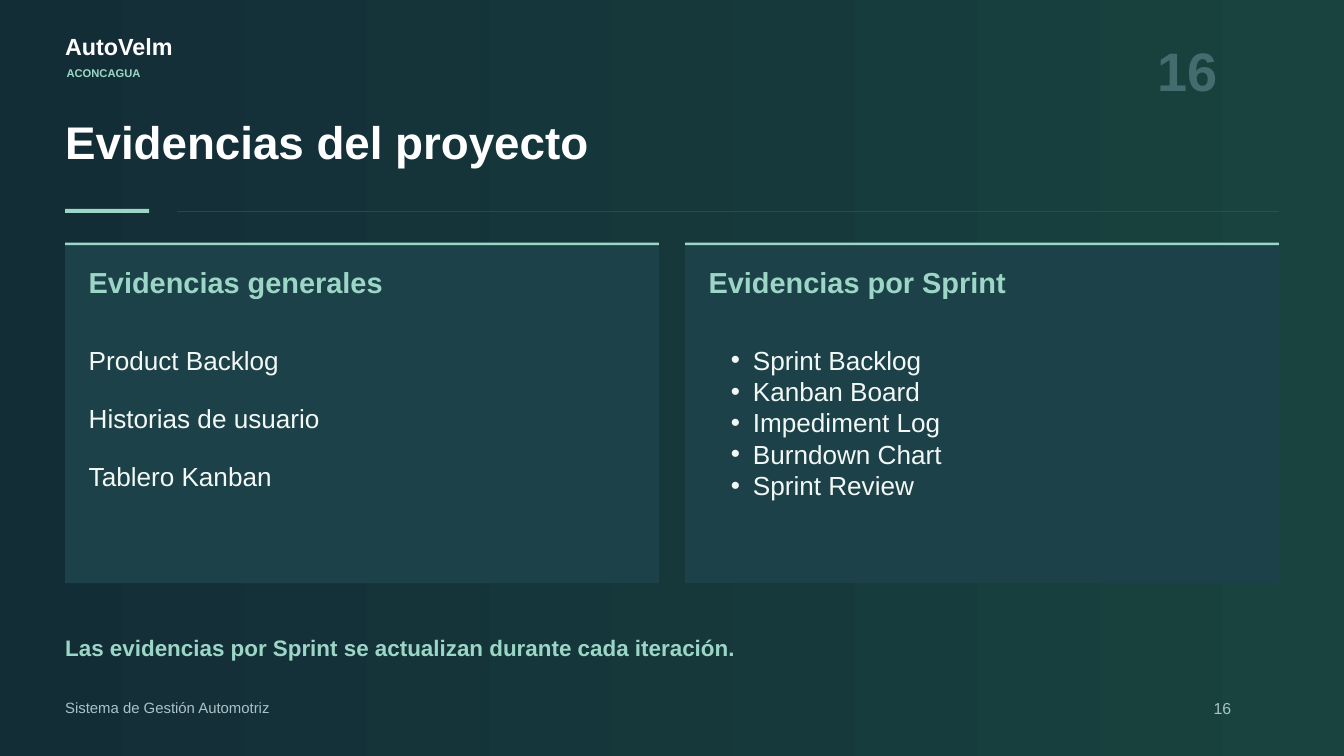
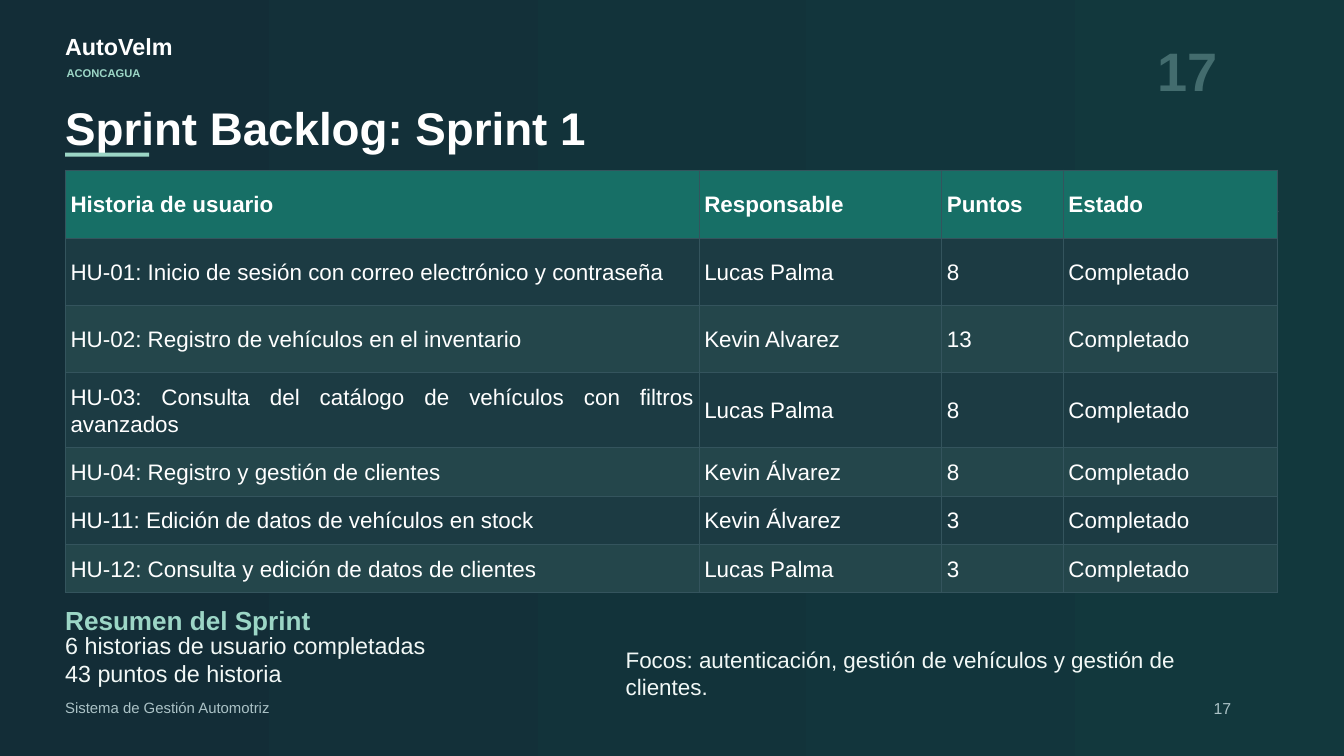
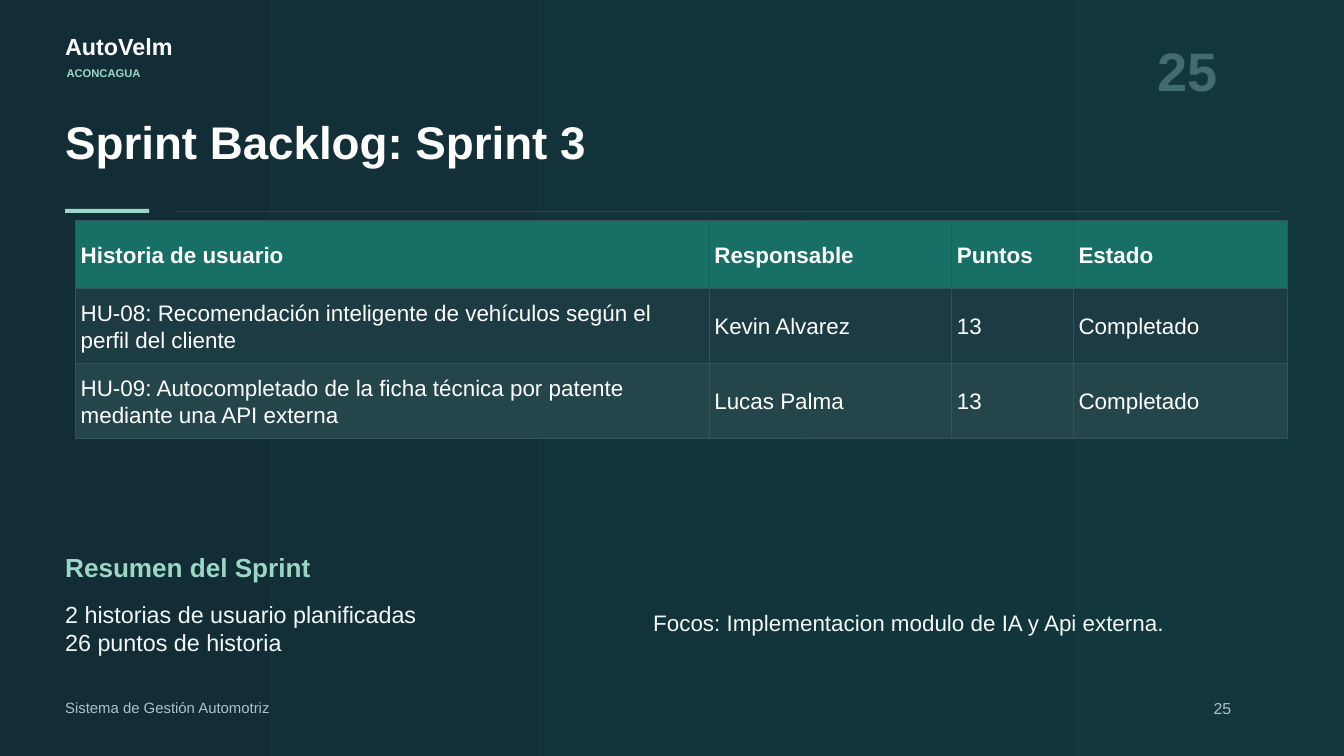
"""Build three project slides: evidence overview and two sprint backlogs."""
from lxml import etree
from pptx import Presentation
from pptx.dml.color import RGBColor
from pptx.enum.shapes import MSO_SHAPE
from pptx.enum.text import MSO_ANCHOR, MSO_AUTO_SIZE, PP_ALIGN
from pptx.oxml.ns import qn
from pptx.util import Inches, Pt

RECTANGLE = MSO_SHAPE.RECTANGLE
TOP, MIDDLE = MSO_ANCHOR.TOP, MSO_ANCHOR.MIDDLE
LEFT, JUSTIFY = PP_ALIGN.LEFT, PP_ALIGN.JUSTIFY
NO_AUTOFIT = MSO_AUTO_SIZE.NONE

NIGHT = RGBColor(0x13, 0x2D, 0x37)
FOREST = RGBColor(0x18, 0x43, 0x3F)
TEAL_NIGHT = RGBColor(0x12, 0x38, 0x3D)
WHITE = RGBColor(0xFF, 0xFF, 0xFF)
MINT = RGBColor(0x9C, 0xD6, 0xC6)
PALE = RGBColor(0xF2, 0xF8, 0xF6)
MUTED = RGBColor(0xAB, 0xC2, 0xC6)
GHOST = RGBColor(0x43, 0x6C, 0x6E)
LINE = RGBColor(0x34, 0x54, 0x5D)
CARD = RGBColor(0x1D, 0x41, 0x48)
HEADER = RGBColor(0x17, 0x6F, 0x66)
BANDS = [RGBColor(0x1C, 0x3B, 0x43), RGBColor(0x24, 0x46, 0x4B)]

FONT = "Arial"
W, H = 20, 11.25
MARGIN = 0.97
CONTENT = W - 2 * MARGIN
FOOT = 10.4


def box(s, x, y, w, h, fill=None):
    area = [Inches(v) for v in (x, y, w, h)]
    if fill is None:
        return s.shapes.add_textbox(*area)
    sp = s.shapes.add_shape(RECTANGLE, *area)
    sp.shadow.inherit = False
    sp.fill.solid()
    sp.fill.fore_color.rgb = fill
    sp.line.fill.background()
    return sp


def write(tf, text, size, color, bold=False, gap=0, bullet=False, align=LEFT):
    tf.text = text
    tf.word_wrap = True
    tf.margin_left = tf.margin_top = tf.margin_right = tf.margin_bottom = 0
    for i, p in enumerate(tf.paragraphs):
        p.alignment = align
        p.line_spacing = Pt(1.2 * size)
        if i and gap:
            p.space_before = Pt(gap)
        if bullet:
            pPr = p._p.get_or_add_pPr()
            pPr.set("marL", str(Inches(0.66)))
            pPr.set("indent", str(Inches(-0.33)))
            etree.SubElement(pPr, qn("a:buFont"), typeface=FONT)
            etree.SubElement(pPr, qn("a:buChar"), char="•")
        for r in p.runs:
            r.font.name = FONT
            r.font.size = Pt(size)
            r.font.bold = bold
            r.font.color.rgb = color


prs = Presentation()
prs.slide_width, prs.slide_height = Inches(W), Inches(H)

frames = [
    ("16", "Evidencias del proyecto", 1.69, 3.11, FOREST),
    ("17", "Sprint Backlog: Sprint 1", 1.49, 2.27, TEAL_NIGHT),
    ("25", "Sprint Backlog: Sprint 3", 1.69, 3.11, TEAL_NIGHT),
]
for number, title, title_top, accent_top, end_color in frames:
    s = prs.slides.add_slide(prs.slide_layouts[5])
    fill = s.background.fill
    fill.gradient()
    fill.gradient_angle = 0
    for stop, color in zip(fill.gradient_stops, (NIGHT, end_color)):
        stop.color.rgb = color

    sp = s.shapes.title
    sp.left, sp.top = Inches(MARGIN), Inches(title_top)
    sp.width, sp.height = Inches(CONTENT), Inches(0.83)
    write(sp.text_frame, title, 49, WHITE, bold=True)
    sp.text_frame.vertical_anchor = TOP
    sp.text_frame.auto_size = NO_AUTOFIT

    box(s, MARGIN, accent_top, 1.25, 0.06, MINT)
    box(s, 2.64, 3.14, W - MARGIN - 2.64, 0.01, LINE)
    for x, y, w, h, text, size, color, bold in [
        (MARGIN, 0.48, 3.33, 0.48, "AutoVelm", 25, WHITE, True),
        (0.99, 0.98, 3.47, 0.33, "ACONCAGUA", 12, MINT, True),
        (17.22, 0.55, 0.9, 0.99, number, 58, GHOST, True),
        (18.06, FOOT, 0.97, 0.3, number, 17, MUTED, False),
        (MARGIN, FOOT, 8.33, 0.41, "Sistema de Gestión Automotriz", 16, MUTED, False),
    ]:
        write(box(s, x, y, w, h).text_frame, text, size, color, bold)

s = prs.slides[0]
cards = [
    ("Evidencias generales",
     ["Product Backlog", "Historias de usuario", "Tablero Kanban"], 28.8, False),
    ("Evidencias por Sprint",
     ["Sprint Backlog", "Kanban Board", "Impediment Log", "Burndown Chart",
      "Sprint Review"], 0, True),
]
gutter, pad, card_top = 0.39, 0.35, 3.61
card_w = (CONTENT - gutter) / 2
for i, (heading, items, gap, bullet) in enumerate(cards):
    x = MARGIN + i * (card_w + gutter)
    box(s, x, card_top, card_w, 5.07, CARD)
    box(s, x, card_top, card_w, 0.04, MINT)
    inner = card_w - 2 * pad
    write(box(s, x + pad, 3.94, inner, 1.06).text_frame, heading, 31, MINT, bold=True)
    write(box(s, x + pad, 5.12, inner, 2.77).text_frame, "\n".join(items), 28, PALE,
          gap=gap, bullet=bullet)
write(box(s, MARGIN, 9.43, CONTENT, 0.64).text_frame,
      "Las evidencias por Sprint se actualizan durante cada iteración.",
      24, MINT, bold=True)

columns = [("Historia de usuario", 9.43), ("Responsable", 3.61),
           ("Puntos", 1.81), ("Estado", 3.19)]
sprints = [
    (prs.slides[1], MARGIN, 2.53, [
        (1, "HU-01: Inicio de sesión con correo electrónico y contraseña", "Lucas Palma", 8),
        (1, "HU-02: Registro de vehículos en el inventario", "Kevin Alvarez", 13),
        (1.12, "HU-03: Consulta del catálogo de vehículos con filtros avanzados",
         "Lucas Palma", 8),
        (0.72, "HU-04: Registro y gestión de clientes", "Kevin Álvarez", 8),
        (0.72, "HU-11: Edición de datos de vehículos en stock", "Kevin Álvarez", 3),
        (0.72, "HU-12: Consulta y edición de datos de clientes", "Lucas Palma", 3),
    ], 8.99, 9.39, "6 historias de usuario completadas\n43 puntos de historia",
     9.31, 9.61, "Focos: autenticación, gestión de vehículos y gestión de clientes."),
    (prs.slides[2], 1.12, 3.28, [
        (1.12, "HU-08: Recomendación inteligente de vehículos según el perfil del cliente",
         "Kevin Alvarez", 13),
        (1.12, "HU-09: Autocompletado de la ficha técnica por patente mediante una API externa",
         "Lucas Palma", 13),
    ], 8.2, 8.93, "2 historias de usuario planificadas\n26 puntos de historia",
     9.72, 9.07, "Focos: Implementacion modulo de IA y Api externa."),
]
for (s, x, y, stories, heading_top, summary_top, summary,
     focus_left, focus_top, focus) in sprints:
    rows = [(1.01, [name for name, _ in columns])]
    rows += [(h, [story, owner, str(points), "Completado"])
             for h, story, owner, points in stories]
    table = s.shapes.add_table(
        len(rows), len(columns), Inches(x), Inches(y),
        Inches(sum(w for _, w in columns)), Inches(sum(h for h, _ in rows))).table
    table.first_row = table.horz_banding = False
    for column, (_, w) in zip(table.columns, columns):
        column.width = Inches(w)
    for i, (h, values) in enumerate(rows):
        table.rows[i].height = Inches(h)
        for j, value in enumerate(values):
            cell = table.cell(i, j)
            align = JUSTIFY if value.startswith("HU-03") else LEFT
            write(cell.text_frame, value, 24, WHITE, bold=i == 0, align=align)
            cell.vertical_anchor = MIDDLE
            cell.margin_left = cell.margin_right = Inches(0.08)
            cell.margin_top = cell.margin_bottom = Inches(0.08)
            cell.fill.solid()
            cell.fill.fore_color.rgb = BANDS[(i - 1) % 2] if i else HEADER
            tcPr = cell._tc.get_or_add_tcPr()
            for k, side in enumerate("LRTB"):
                ln = etree.Element(qn(f"a:ln{side}"), w=str(Pt(0.75)))
                solid = etree.SubElement(ln, qn("a:solidFill"))
                etree.SubElement(solid, qn("a:srgbClr"), val=str(LINE))
                tcPr.insert(k, ln)

    write(box(s, MARGIN, heading_top, 9.17, 0.65).text_frame,
          "Resumen del Sprint", 28, MINT, bold=True)
    write(box(s, MARGIN, summary_top, 7.78, 0.82).text_frame, summary, 25, PALE)
    write(box(s, focus_left, focus_top, 9.31, 0.8).text_frame, focus, 24, PALE)

prs.save("out.pptx")
